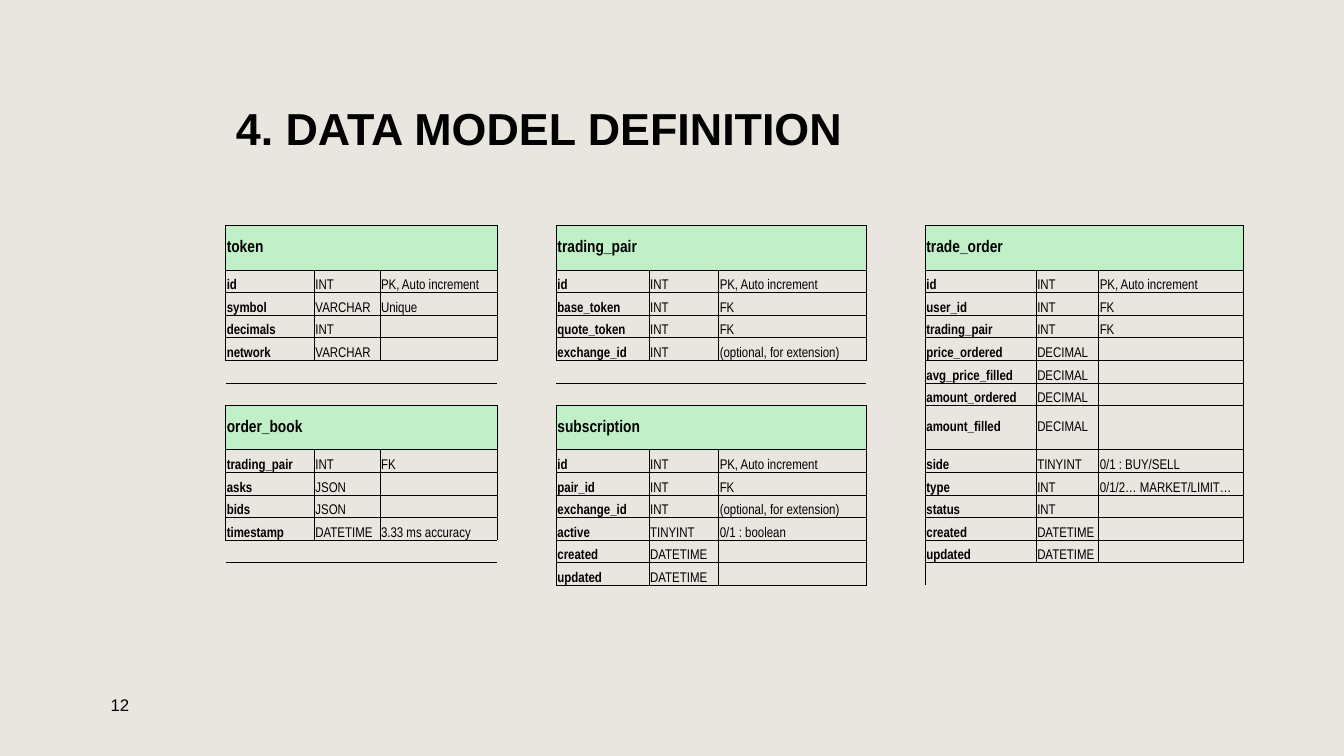
from lxml.etree import SubElement
from pptx import Presentation
from pptx.dml.color import RGBColor
from pptx.enum.text import MSO_ANCHOR as Anchor, PP_ALIGN as Align
from pptx.oxml.ns import qn
from pptx.util import Inches, Pt

BLACK = RGBColor(0x00, 0x00, 0x00)
SAND = RGBColor(0xE9, 0xE6, 0xDF)
MINT = RGBColor(0xC1, 0xF0, 0xC8)

NO_STYLE = "{2D5ABB26-0587-4C30-8999-92F81FD0307C}"
SIDES = {"a:lnL": (0, -1), "a:lnR": (0, 1), "a:lnT": (-1, 0), "a:lnB": (1, 0)}

COLUMNS = [6.6, 4.88, 8.7, 4.43, 6.9, 5.18, 10.95, 4.43, 8.25, 4.65, 10.73]
TALL, SHORT = 5.85, 2.99
TALL_ROWS = (0, 7)
ROWS = [TALL if row in TALL_ROWS else SHORT for row in range(14)]

KEY = "PK, Auto increment"
OPTIONAL = "(optional, for extension)"
ENTITIES = [
    (0, 0, "token", [
        ("id", "INT", KEY),
        ("symbol", "VARCHAR", "Unique"),
        ("decimals", "INT", ""),
        ("network", "VARCHAR", ""),
    ]),
    (0, 4, "trading_pair", [
        ("id", "INT", KEY),
        ("base_token", "INT", "FK"),
        ("quote_token", "INT", "FK"),
        ("exchange_id", "INT", OPTIONAL),
    ]),
    (0, 8, "trade_order", [
        ("id", "INT", KEY),
        ("user_id", "INT", "FK"),
        ("trading_pair", "INT", "FK"),
        ("price_ordered", "DECIMAL", ""),
        ("avg_price_filled", "DECIMAL", ""),
        ("amount_ordered", "DECIMAL", ""),
        ("amount_filled", "DECIMAL", ""),
        ("side", "TINYINT", "0/1 : BUY/SELL"),
        ("type", "INT", "0/1/2… MARKET/LIMIT…"),
        ("status", "INT", ""),
        ("created", "DATETIME", ""),
        ("updated", "DATETIME", ""),
    ]),
    (7, 0, "order_book", [
        ("trading_pair", "INT", "FK"),
        ("asks", "JSON", ""),
        ("bids", "JSON", ""),
        ("timestamp", "DATETIME", "3.33 ms accuracy"),
    ]),
    (7, 4, "subscription", [
        ("id", "INT", KEY),
        ("pair_id", "INT", "FK"),
        ("exchange_id", "INT", OPTIONAL),
        ("active", "TINYINT", "0/1 : boolean"),
        ("created", "DATETIME", ""),
        ("updated", "DATETIME", ""),
    ]),
]


class SchemaPage:
    """Draws styled elements on one slide, with lengths in percent of its size."""

    def __init__(self, deck):
        self.deck = deck
        self.page = deck.slides.add_slide(deck.slide_layouts[5])
        fill = self.page.background.fill
        fill.solid()
        fill.fore_color.rgb = SAND

    def across(self, share):
        return round(self.deck.slide_width * share / 100)

    def down(self, share):
        return round(self.deck.slide_height * share / 100)

    def place(self, left, top, width, height):
        return self.across(left), self.down(top), self.across(width), self.down(height)

    def set_text(self, frame, text, size, font="Arial", bold=False):
        para = frame.paragraphs[0]
        para.text = text
        para.alignment = Align.LEFT
        for span in para.runs:
            span.font.name = font
            span.font.size = Pt(size)
            span.font.bold = bold
            span.font.color.rgb = BLACK
        if not text:
            SubElement(para._p, qn("a:endParaRPr"), sz=str(size * 100))
        return para

    def title(self, text, area):
        box = self.page.shapes.title
        box.left, box.top, box.width, box.height = self.place(*area)
        box.text_frame.vertical_anchor = Anchor.MIDDLE
        self.set_text(box.text_frame, text, 32, bold=True).line_spacing = 0.9

    def label(self, text, area):
        frame = self.page.shapes.add_textbox(*self.place(*area)).text_frame
        frame.word_wrap = True
        frame.vertical_anchor = Anchor.MIDDLE
        self.set_text(frame, text, 12)

    def cell(self, cell, text="", size=10, bold=False, anchor=Anchor.BOTTOM, color=None):
        cell.margin_left = cell.margin_right = cell.margin_top = Inches(0.01)
        cell.margin_bottom = 0
        cell.vertical_anchor = anchor
        if color is None:
            cell.fill.background()
        else:
            cell.fill.solid()
            cell.fill.fore_color.rgb = color
        self.set_text(cell.text_frame, text, size, "Arial Narrow", bold)

    def borders(self, cell, sides):
        properties = cell._tc.get_or_add_tcPr()
        for order, side in enumerate(sides):
            line = SubElement(properties, qn(side), w=str(int(Pt(0.5))))
            color = SubElement(SubElement(line, qn("a:solidFill")), qn("a:srgbClr"))
            color.set("val", str(BLACK))
            properties.insert(order, line)

    def schema(self, entities, left, top):
        area = self.place(left, top, sum(COLUMNS), sum(ROWS))
        table = self.page.shapes.add_table(len(ROWS), len(COLUMNS), *area).table
        table.first_row = table.horz_banding = False
        table._tbl.tblPr.find(qn("a:tableStyleId")).text = NO_STYLE
        for column, share in zip(table.columns, COLUMNS):
            column.width = self.across(share)
        for row, share in zip(table.rows, ROWS):
            row.height = self.down(share)

        content = {}
        for first, left_column, name, fields in entities:
            for row, values in enumerate([(name, "", ""), *fields], first):
                for column, text in enumerate(values, left_column):
                    content[row, column] = {
                        "text": text,
                        "bold": column == left_column,
                        "anchor": Anchor.MIDDLE if row in TALL_ROWS else Anchor.BOTTOM,
                    }
                    if row == first:
                        content[row, column].update(size=12, color=MINT)

        for row in range(len(ROWS)):
            for column in range(len(COLUMNS)):
                cell = table.cell(row, column)
                self.cell(cell, **content.get((row, column), {}))
                self.borders(cell, [
                    side for side, (below, right) in SIDES.items()
                    if (row, column) in content or (row + below, column + right) in content
                ])
        for row, column, *_ in entities:
            table.cell(row, column).merge(table.cell(row, column + 2))


def main():
    deck = Presentation()
    deck.slide_width, deck.slide_height = Inches(13.33), Inches(7.5)
    page = SchemaPage(deck)
    page.title("4. DATA MODEL DEFINITION", (16.8, 8.53, 75.7, 17.6))
    page.schema(ENTITIES, 16.8, 29.87)
    page.label("12", (7.5, 91.07, 5.18, 4.27))
    deck.save("out.pptx")


if __name__ == "__main__":
    main()
